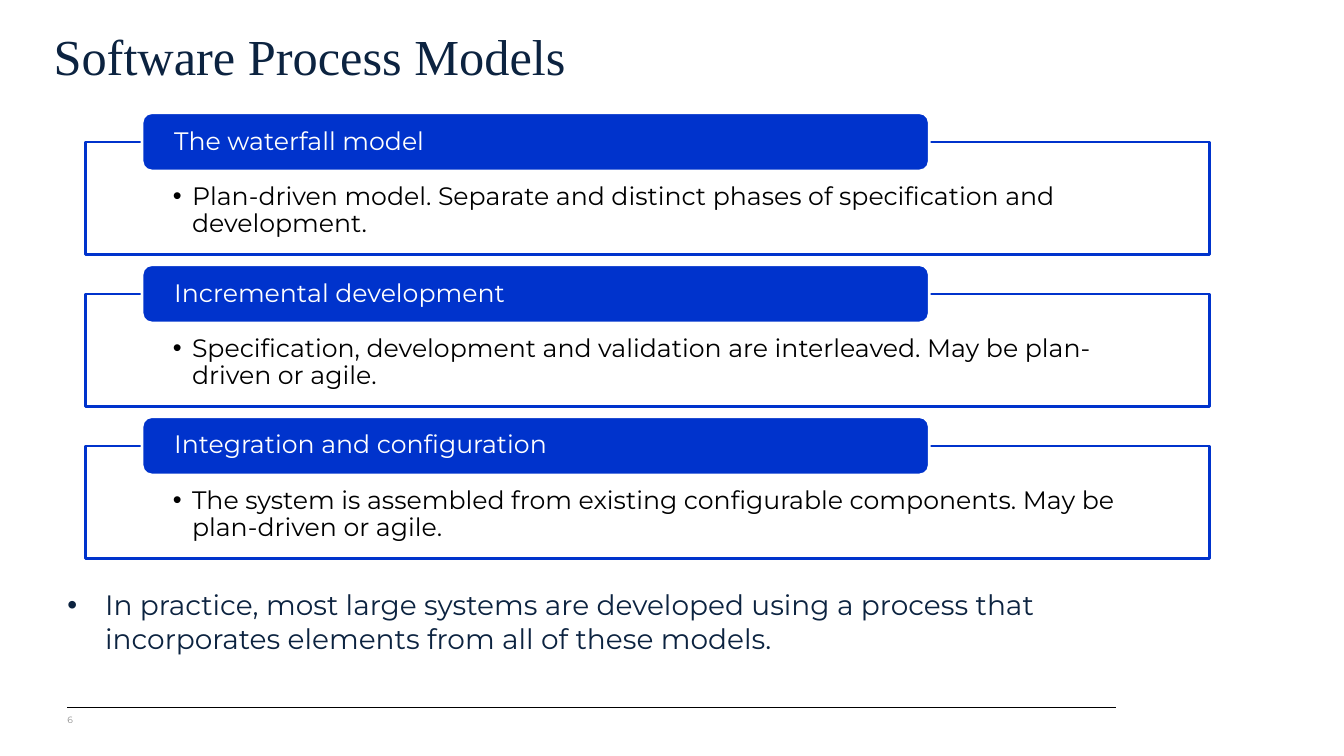
from lxml import etree
from pptx import Presentation
from pptx.dml.color import RGBColor
from pptx.enum.shapes import MSO_CONNECTOR, MSO_SHAPE
from pptx.enum.text import MSO_ANCHOR, PP_ALIGN
from pptx.oxml.ns import qn
from pptx.util import Cm, Pt

RECT, ROUNDED = MSO_SHAPE.RECTANGLE, MSO_SHAPE.ROUNDED_RECTANGLE
TOP, MIDDLE = MSO_ANCHOR.TOP, MSO_ANCHOR.MIDDLE
COLORS = {"navy": "0C2340", "blue": "0033CC", "white": "FFFFFF",
          "black": "000000", "gray": "8C8C8C"}
TEXT_INSETS = (0, 0, 0.25, 0.13)

MODELS = [
    ("The waterfall model",
     "Plan-driven model. Separate and distinct phases of specification and development."),
    ("Incremental development",
     "Specification, development and validation are interleaved. May be plan-driven or agile."),
    ("Integration and configuration",
     "The system is assembled from existing configurable components. May be plan-driven or agile."),
]
FIRST_TOP, PITCH = 3.58, 3.83


def write(shape, text, size, color, insets=TEXT_INSETS, anchor=TOP,
          font="Montserrat", hanging=0, spacing=1.0):
    """Fill a shape with one paragraph; a hanging indent in cm gives it a bullet."""
    frame = shape.text_frame
    frame.word_wrap = True
    frame.vertical_anchor = anchor
    (frame.margin_left, frame.margin_top,
     frame.margin_right, frame.margin_bottom) = map(Cm, insets)
    paragraph = frame.paragraphs[0]
    paragraph.text = text
    paragraph.alignment = PP_ALIGN.LEFT
    paragraph.line_spacing = spacing
    if hanging:
        properties = paragraph._p.get_or_add_pPr()
        properties.set("marL", str(Cm(hanging)))
        properties.set("indent", str(-Cm(hanging)))
        etree.SubElement(properties, qn("a:buFont"), typeface="Arial")
        etree.SubElement(properties, qn("a:buChar"), char="•")
    paragraph.font.size = Pt(size)
    paragraph.font.name = font
    paragraph.font.color.rgb = RGBColor.from_string(COLORS[color])


def add_box(kind, left, top, width, height, fill, line):
    box = slide.shapes.add_shape(kind, Cm(left), Cm(top), Cm(width), Cm(height))
    box.shadow.inherit = False
    box.fill.solid()
    box.fill.fore_color.rgb = RGBColor.from_string(COLORS[fill])
    box.line.color.rgb = RGBColor.from_string(COLORS[line])
    box.line.width = Pt(2)
    return box


prs = Presentation()
prs.slide_width, prs.slide_height = Cm(33.87), Cm(19.05)
slide = prs.slides.add_slide(prs.slide_layouts[6])

footer_rule = slide.shapes.add_connector(
    MSO_CONNECTOR.STRAIGHT, Cm(1.7), Cm(17.83), Cm(28.12), Cm(17.83))
footer_rule.line.color.rgb = RGBColor.from_string(COLORS["black"])
footer_rule.line.width = Pt(0.75)
etree.SubElement(footer_rule._element.spPr, qn("a:effectLst"))

title = slide.shapes.add_textbox(Cm(1.35), Cm(0.64), Cm(26.44), Cm(2.36))
write(title, "Software Process Models", 36, "navy", font="Times New Roman")

practice = slide.shapes.add_textbox(Cm(1.7), Cm(14.81), Cm(26.97), Cm(2.62))
write(practice,
      "In practice, most large systems are developed using a process that "
      "incorporates elements from all of these models.",
      20, "navy", hanging=0.95)

page_number = slide.shapes.add_textbox(Cm(1.7), Cm(17.93), Cm(1.35), Cm(0.53))
write(page_number, "6", 6.5, "gray", anchor=MIDDLE)

for index, (model, description) in enumerate(MODELS):
    top = FIRST_TOP + index * PITCH
    panel = add_box(RECT, 2.16, top, 28.32, 2.84, "white", "blue")
    panel_color = panel.fill._xPr.find(qn("a:solidFill"))[0]
    etree.SubElement(panel_color, qn("a:alpha"), val="90000")
    write(panel, description, 18, "black", insets=(2.2, 1.04, 2.2, 0.36),
          hanging=0.48, spacing=0.9)
    header = add_box(ROUNDED, 3.58, top - 0.74, 19.84, 1.47, "blue", "white")
    write(header, model, 18, "white", insets=(0.74, 0, 0.74, 0),
          anchor=MIDDLE, spacing=0.9)

prs.save("out.pptx")
